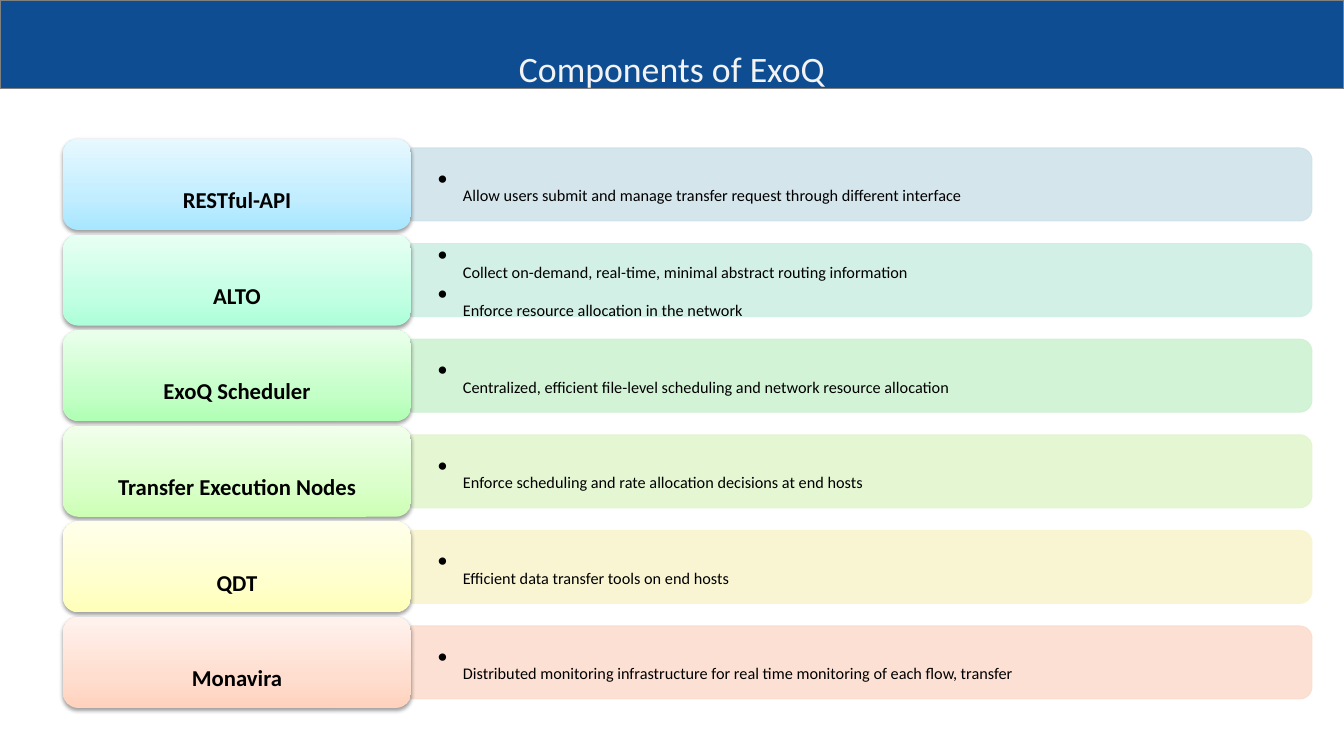
from pptx import Presentation
from pptx.dml.color import RGBColor
from pptx.enum.shapes import MSO_SHAPE
from pptx.enum.text import MSO_ANCHOR, MSO_AUTO_SIZE, PP_ALIGN
from pptx.oxml import parse_xml
from pptx.oxml.ns import nsdecls
from pptx.util import Emu, Pt

# Content: name, duties, bar colour, label gradient from bottom to top
TITLE = "Components of ExoQ"
COMPONENTS = [
    ("RESTful-API",
     ["Allow users submit and manage transfer request through different interface"],
     "D0E3EA", ("A7E6FF", "C1EDFF", "E7F8FF")),
    ("ALTO",
     ["Collect on-demand, real-time, minimal abstract routing information",
      "Enforce resource allocation in the network"],
     "CFEFE5", ("ACFFD9", "C4FFE4", "E8FFF4")),
    ("ExoQ Scheduler",
     ["Centralized, efficient file-level scheduling and network resource allocation"],
     "CFF2D2", ("B0FFB4", "C7FFCA", "EAFFEB")),
    ("Transfer Execution Nodes",
     ["Enforce scheduling and rate allocation decisions at end hosts"],
     "E2F6CE", ("CCFFB4", "DAFFCA", "F1FFEB")),
    ("QDT",
     ["Efficient data transfer tools on end hosts"],
     "F9F5CF", ("FFFFB9", "FFFFCD", "FFFFEC")),
    ("Monavira",
     ["Distributed monitoring infrastructure for real time monitoring of each flow, transfer"],
     "FCDDCF", ("FFD2BD", "FFDED0", "FFF2ED")),
]

# Layout in px
SLIDE_W, SLIDE_H = 1344, 756
HEADER_H = 89
FIRST_TOP, LAST_TOP = 139, 617
LABEL_LEFT, LABEL_W, LABEL_H, LABEL_PAD = 63, 348, 91, 4
BAR_LEFT, BAR_W, BAR_H = LABEL_LEFT + LABEL_W, 901, 73
DUTY_W, DUTY_H = 898, 66
BULLET_INDENT = 25


def px(length):
    return Emu(round(length * 914400 / 100.8))


def color(code):
    return RGBColor.from_string(code)


def xml(tag_text):
    name, rest = tag_text[1:].split(" ", 1)
    return parse_xml(f"<{name} {nsdecls('a')} {rest}")


def add_block(kind, left, top, width, height):
    block = slide.shapes.add_shape(kind, px(left), px(top), px(width), px(height))
    block.shadow.inherit = False
    return block


def add_text(lines, left, top, width, height, *, size, fill="000000", bold=False,
             align=PP_ALIGN.LEFT, anchor=MSO_ANCHOR.MIDDLE, inset=(10, 5),
             spacing=None, after=None, bullet=None):
    box = slide.shapes.add_textbox(px(left), px(top), px(width), px(height))
    frame = box.text_frame
    frame.word_wrap = True
    frame.vertical_anchor = anchor
    frame.margin_left = frame.margin_right = px(inset[0])
    frame.margin_top = frame.margin_bottom = px(inset[1])
    for index, line in enumerate(lines):
        paragraph = frame.add_paragraph() if index else frame.paragraphs[0]
        paragraph.alignment = align
        if spacing:
            paragraph.line_spacing = spacing
        properties = paragraph._p.get_or_add_pPr()
        if after:
            properties.append(xml(
                f'<a:spcAft ><a:spcPct val="{after * 1000}"/></a:spcAft>'))
        if bullet:
            paragraph.level = 1
            properties.set("marL", str(px(BULLET_INDENT)))
            properties.set("indent", str(-px(BULLET_INDENT)))
            properties.append(xml(f'<a:buChar char="{bullet}"/>'))
        run = paragraph.add_run()
        run.text = line
        run.font.name = "Calibri"
        run.font.size = Pt(size)
        run.font.bold = bold
        run.font.color.rgb = color(fill)
        run.font._element.set("baseline", "-25000")
    return box


def add_bar(top, tint):
    # Turned a quarter, so the rounded end points right
    bar = add_block(MSO_SHAPE.ROUND_2_SAME_RECTANGLE, BAR_LEFT + (BAR_W - BAR_H) / 2,
                    top + (BAR_H - BAR_W) / 2, BAR_H, BAR_W)
    bar.rotation = 90
    bar.line.width = Pt(0.75)
    for paint in (bar.fill, bar.line.fill):
        paint.solid()
        paint.fore_color.rgb = color(tint)
    for tone in bar._element.spPr.xpath(".//a:srgbClr"):
        tone.append(xml('<a:alpha val="90000"/>'))


def add_label(top, tints):
    label = add_block(MSO_SHAPE.ROUNDED_RECTANGLE, LABEL_LEFT, top, LABEL_W, LABEL_H)
    label.line.fill.background()
    stops = "".join(f'<a:gs pos="{place * 1000}"><a:srgbClr val="{tint}"/></a:gs>'
                    for place, tint in zip((0, 35, 100), tints))
    properties = label._element.spPr
    properties.insert(2, xml(
        f'<a:gradFill rotWithShape="1"><a:gsLst>{stops}</a:gsLst>'
        '<a:lin ang="16200000" scaled="0"/></a:gradFill>'))
    properties.xpath("a:effectLst")[0].append(xml(
        f'<a:outerShdw blurRad="{Pt(3.1)}" dist="{Pt(1.6)}" dir="5400000" '
        'rotWithShape="0"><a:srgbClr val="000000"><a:alpha val="38000"/>'
        '</a:srgbClr></a:outerShdw>'))


deck = Presentation()
deck.slide_width, deck.slide_height = px(SLIDE_W), px(SLIDE_H)
slide = deck.slides.add_slide(deck.slide_layouts[6])

# Header
header = add_block(MSO_SHAPE.RECTANGLE, 0, 0, SLIDE_W, HEADER_H)
header.fill.solid()
header.fill.fore_color.rgb = color("0F4D92")
header.line.color.rgb = color("808080")
header.line.width = Pt(0.75)
title = add_text([TITLE], 0, 1, SLIDE_W, 85, size=44, fill="F3F3F3",
                 align=PP_ALIGN.CENTER, anchor=MSO_ANCHOR.TOP)
title.text_frame.auto_size = MSO_AUTO_SIZE.SHAPE_TO_FIT_TEXT

# One row per component
pitch = (LAST_TOP - FIRST_TOP) / (len(COMPONENTS) - 1)
for row, (name, duties, bar_tint, label_tints) in enumerate(COMPONENTS):
    row_top = FIRST_TOP + row * pitch
    add_bar(row_top + (LABEL_H - BAR_H) / 2, bar_tint)
    add_text(duties, BAR_LEFT, row_top + (LABEL_H - DUTY_H) / 2, DUTY_W, DUTY_H,
             size=20, inset=(27, 14), spacing=0.9, after=15, bullet="•")
    add_label(row_top, label_tints)
    add_text([name], LABEL_LEFT + LABEL_PAD, row_top + LABEL_PAD,
             LABEL_W - 2 * LABEL_PAD, LABEL_H - 2 * LABEL_PAD, size=28, bold=True,
             align=PP_ALIGN.CENTER, inset=(12, 6), spacing=0.9, after=35)

deck.save("out.pptx")
